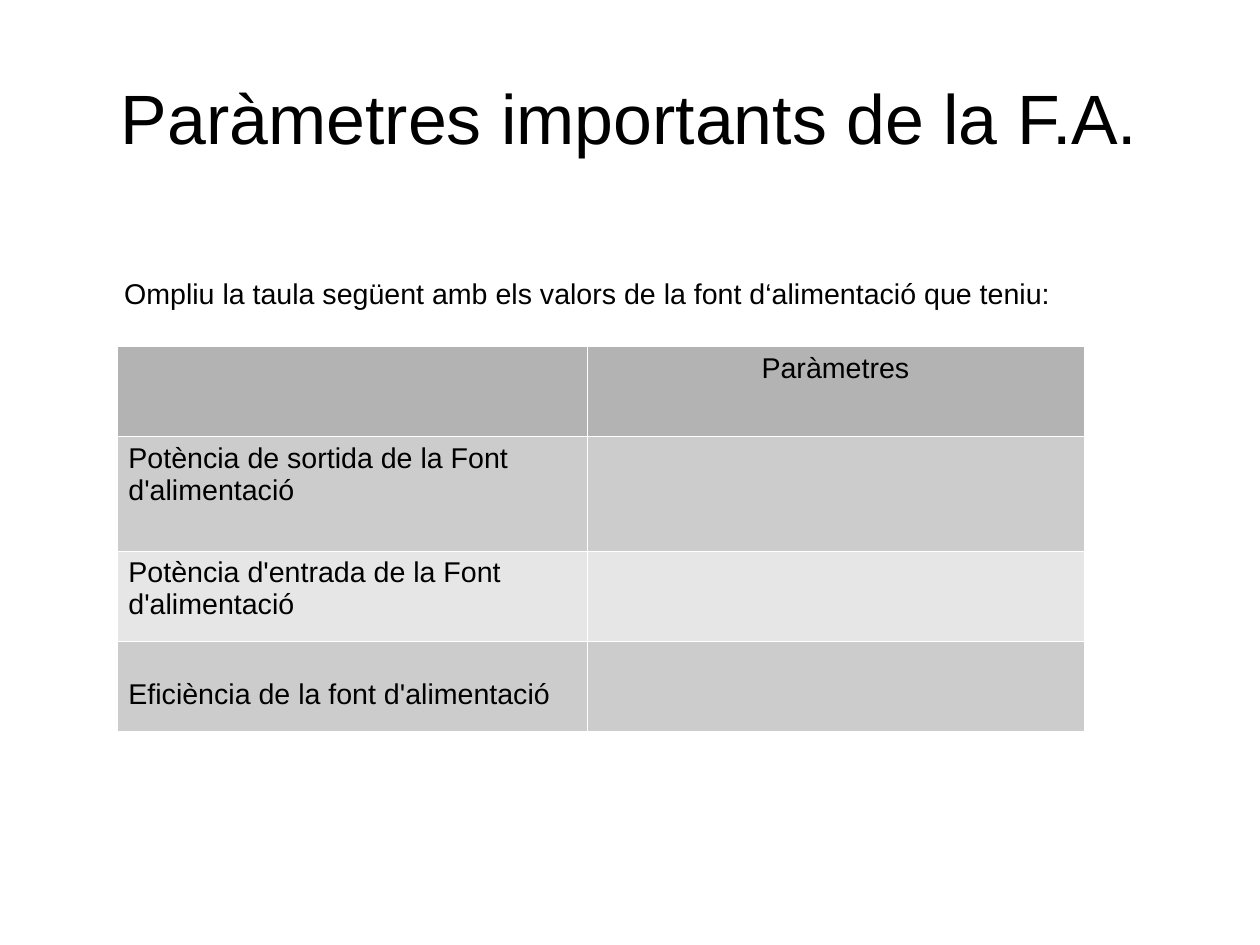
from lxml.etree import SubElement
from pptx import Presentation
from pptx.dml.color import RGBColor
from pptx.enum.text import MSO_ANCHOR, PP_ALIGN
from pptx.oxml.ns import qn
from pptx.util import Cm, Pt

BLACK = RGBColor(0x00, 0x00, 0x00)
WHITE = RGBColor(0xFF, 0xFF, 0xFF)
HEADER_GRAY = RGBColor(0xB3, 0xB3, 0xB3)
DARK_BAND = RGBColor(0xCC, 0xCC, 0xCC)
LIGHT_BAND = RGBColor(0xE6, 0xE6, 0xE6)

FONT = "Arial"
COLUMN_WIDTHS = [Cm(10.44), Cm(11.05)]
# Left text, right text, row height, fill
ROWS = [
    ("", "Paràmetres", Cm(2), HEADER_GRAY),
    ("Potència de sortida de la Font d'alimentació", "", Cm(2.54), DARK_BAND),
    ("Potència d'entrada de la Font d'alimentació", "", Cm(2), LIGHT_BAND),
    ("Eficiència de la font d'alimentació", "", Cm(2), DARK_BAND),
]


def write_text(text_frame, text, size, alignment=PP_ALIGN.LEFT):
    text_frame.text = text
    paragraph = text_frame.paragraphs[0]
    paragraph.alignment = alignment
    for run in paragraph.runs:
        run.font.name = FONT
        run.font.size = Pt(size)
        run.font.color.rgb = BLACK


def set_cell_borders(cell):
    properties = cell._tc.get_or_add_tcPr()
    for position, side in enumerate(("lnL", "lnR", "lnT", "lnB")):
        line = SubElement(properties, qn(f"a:{side}"), w=str(Pt(0.06)))
        fill = SubElement(line, qn("a:solidFill"))
        SubElement(fill, qn("a:srgbClr"), val=str(WHITE))
        properties.insert(position, line)


def add_title(slide, text):
    title = slide.shapes.title
    title.left, title.top = Cm(1.4), Cm(0.84)
    title.width, title.height = Cm(25.2), Cm(3.5)
    text_frame = title.text_frame
    text_frame.margin_left = text_frame.margin_right = 0
    text_frame.margin_top = text_frame.margin_bottom = 0
    text_frame.vertical_anchor = MSO_ANCHOR.MIDDLE
    write_text(text_frame, text, 44, PP_ALIGN.CENTER)


def add_instruction(slide, text):
    box = slide.shapes.add_textbox(Cm(2.51), Cm(6), Cm(21.26), Cm(0.97))
    box.text_frame.word_wrap = False
    write_text(box.text_frame, text, 18)


def add_parameter_table(slide):
    heights = [row[2] for row in ROWS]
    frame = slide.shapes.add_table(
        len(ROWS), len(COLUMN_WIDTHS), Cm(2.6), Cm(7.7),
        sum(COLUMN_WIDTHS), sum(heights))
    table = frame.table
    for column, width in zip(table.columns, COLUMN_WIDTHS):
        column.width = width
    for table_row, (label, value, height, color) in zip(table.rows, ROWS):
        table_row.height = height
        label_cell, value_cell = table_row.cells
        write_text(label_cell.text_frame, label, 18)
        write_text(value_cell.text_frame, value, 18, PP_ALIGN.CENTER)
        for cell in (label_cell, value_cell):
            cell.fill.solid()
            cell.fill.fore_color.rgb = color
            set_cell_borders(cell)
    # The efficiency label sits one line lower than the others
    table.cell(len(ROWS) - 1, 0).margin_top = Cm(0.84)


def main():
    presentation = Presentation()
    presentation.slide_width = Cm(28)
    presentation.slide_height = Cm(21)
    slide = presentation.slides.add_slide(presentation.slide_layouts[5])
    add_title(slide, "Paràmetres importants de la F.A.")
    add_parameter_table(slide)
    add_instruction(
        slide,
        "Ompliu la taula següent amb els valors de la font d‘alimentació que teniu:")
    presentation.save("out.pptx")


if __name__ == "__main__":
    main()
